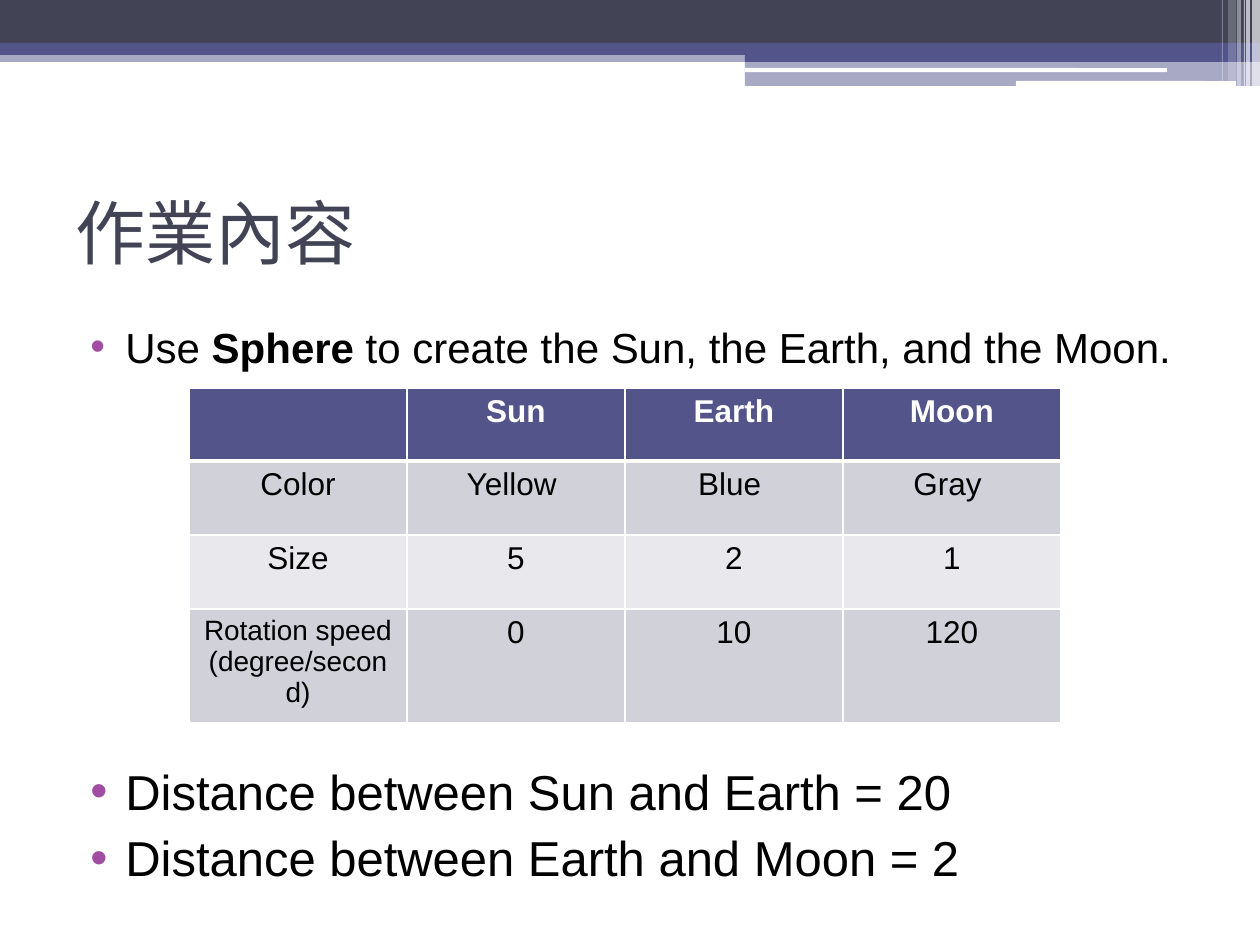
from lxml import etree
from pptx import Presentation
from pptx.dml.color import RGBColor
from pptx.enum.shapes import MSO_SHAPE
from pptx.enum.text import MSO_ANCHOR, PP_ALIGN
from pptx.oxml.ns import qn
from pptx.util import Emu, Pt

RECT, ROUND = MSO_SHAPE.RECTANGLE, MSO_SHAPE.ROUNDED_RECTANGLE
TOP, MIDDLE = MSO_ANCHOR.TOP, MSO_ANCHOR.MIDDLE
LEFT, CENTER = PP_ALIGN.LEFT, PP_ALIGN.CENTER

WHITE = RGBColor(0xFF, 0xFF, 0xFF)
BLACK = RGBColor(0x00, 0x00, 0x00)
SLATE = RGBColor(0x42, 0x44, 0x56)
INDIGO = RGBColor(0x53, 0x54, 0x8A)
PURPLE = RGBColor(0xA0, 0x4D, 0xA3)
BAND_DARK = RGBColor(0xD1, 0xD1, 0xDA)
BAND_LIGHT = RGBColor(0xE9, 0xE9, 0xED)

FONT = "Arial"
PX_PER_INCH = 126

# left, top, width, height, colour, opacity in percent
BANDS = [
    (0, 50, 1260, 12, INDIGO, 50),
    (0, 0, 1260, 43, SLATE, 100),
    (0, 43, 1260, 12, INDIGO, 100),
    (745, 49, 515, 13, INDIGO, 100),
    (745, 61, 515, 25, INDIGO, 50),
]
WHITE_BARS = [(745, 68, 422, 4), (1016, 81, 220, 5)]
# left, width, height, opacity in percent
STRIPES = [(1252, 8, 86, 65), (1246, 4, 86, 65), (1244, 1, 86, 60),
           (1237, 4, 86, 40), (1228, 8, 81, 20), (1222, 1, 81, 30)]

PLANETS = [
    ["", "Sun", "Earth", "Moon"],
    ["Color", "Yellow ", "Blue ", "Gray "],
    ["Size", "5", "2", "1"],
    ["Rotation speed\n(degree/second)", "0", "10", "120"],
]


def px(n):
    return Emu(round(n * 914400 / PX_PER_INCH))


def write(p, text, size=18, color=BLACK, bold=False, align=LEFT):
    """Add text to a paragraph; each newline becomes a line break."""
    p.alignment = align
    for i, line in enumerate(text.split("\n")):
        if i:
            p.add_line_break()
        r = p.add_run()
        r.text = line
        r.font.name, r.font.size, r.font.bold = FONT, Pt(size), bold
        r.font.color.rgb = color


def add_bullet(p, color):
    pPr = p._p.get_or_add_pPr()
    pPr.set("marL", str(px(50)))
    pPr.set("indent", str(-px(35)))
    clr = etree.SubElement(pPr, qn("a:buClr"))
    etree.SubElement(clr, qn("a:srgbClr"), val=str(color))
    etree.SubElement(pPr, qn("a:buFont"), typeface=FONT)
    etree.SubElement(pPr, qn("a:buChar"), char="•")


def set_borders(cell, **widths):
    """Draw white cell borders; widths in points by side, in schema order."""
    tcPr = cell._tc.get_or_add_tcPr()
    for i, (side, width) in enumerate(widths.items()):
        ln = etree.Element(qn(f"a:ln{side}"), w=str(Pt(width)))
        fill = etree.SubElement(ln, qn("a:solidFill"))
        etree.SubElement(fill, qn("a:srgbClr"), val=str(WHITE))
        tcPr.insert(i, ln)


class Deck:
    def __init__(self, width, height):
        self.prs = Presentation()
        self.prs.slide_width, self.prs.slide_height = px(width), px(height)
        self.s = self.prs.slides.add_slide(self.prs.slide_layouts[6])

    def box(self, x, y, w, h, color, opacity=100, kind=RECT):
        sp = self.s.shapes.add_shape(kind, px(x), px(y), px(w), px(h))
        sp.shadow.inherit = False
        sp.fill.solid()
        sp.fill.fore_color.rgb = color
        sp.line.fill.background()
        if opacity < 100:
            clr = sp.fill._xPr.find(f".//{qn('a:srgbClr')}")
            etree.SubElement(clr, qn("a:alpha"), val=str(opacity * 1000))

    def text_frame(self, x, y, w, h, anchor=TOP):
        tf = self.s.shapes.add_textbox(px(x), px(y), px(w), px(h)).text_frame
        tf.word_wrap = True
        tf.vertical_anchor = anchor
        return tf

    def title(self, text, x, y, w, h):
        tf = self.text_frame(x, y, w, h, MIDDLE)
        write(tf.paragraphs[0], text, size=40, color=SLATE)

    def bullets(self, items, x, y, w, h, size):
        """Each item is a list of (text, bold) runs."""
        tf = self.text_frame(x, y, w, h)
        for i, runs in enumerate(items):
            p = tf.add_paragraph() if i else tf.paragraphs[0]
            if i:
                p.space_before = Pt(4.4)
            add_bullet(p, PURPLE)
            for text, bold in runs:
                write(p, text, size=size, bold=bold)

    def table(self, rows, x, y, col_width, row_heights):
        n_cols = len(rows[0])
        table = self.s.shapes.add_table(
            len(rows), n_cols, px(x), px(y),
            px(col_width * n_cols), px(sum(row_heights))).table
        for col in table.columns:
            col.width = px(col_width)
        for i, (row, height) in enumerate(zip(rows, row_heights)):
            table.rows[i].height = px(height)
            header = i == 0
            fill = INDIGO if header else BAND_DARK if i % 2 else BAND_LIGHT
            for j, text in enumerate(row):
                cell = table.cell(i, j)
                cell.fill.solid()
                cell.fill.fore_color.rgb = fill
                set_borders(cell, L=1, R=1, T=3 if i == 1 else 1,
                            B=3 if header else 1)
                write(cell.text_frame.paragraphs[0], text,
                      size=16 if "\n" in text else 18,
                      color=WHITE if header else BLACK,
                      bold=header, align=CENTER)


def main():
    deck = Deck(1260, 945)
    for band in BANDS:
        deck.box(*band)
    for bar in WHITE_BARS:
        deck.box(*bar, WHITE, kind=ROUND)
    for x, w, h, opacity in STRIPES:
        deck.box(x, 0, w, h, WHITE, opacity)

    deck.title("作業內容", 63, 158, 1134, 147)
    deck.bullets([[("Use ", False), ("Sphere", True),
                   (" to create the Sun, the Earth, and the Moon.", False)]],
                 63, 315, 1134, 62, size=24)
    deck.table(PLANETS, 189, 388, 218, [73, 74, 74, 105])
    deck.bullets([[("Distance between Sun and Earth = 20", False)],
                  [("Distance between Earth and Moon = 2", False)]],
                 63, 755, 1134, 150, size=28)
    deck.prs.save("out.pptx")


if __name__ == "__main__":
    main()
